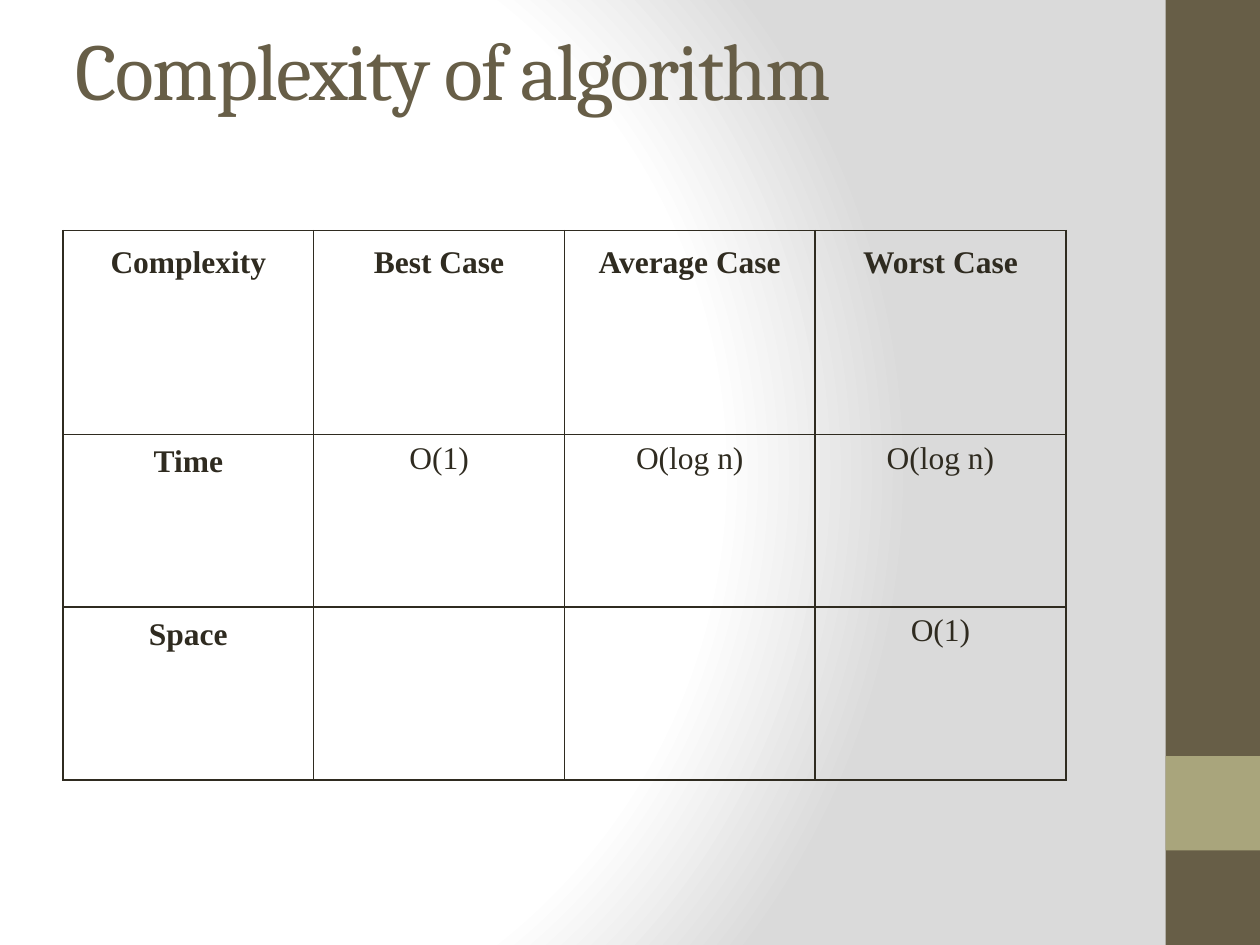
from dataclasses import dataclass

from lxml import etree
from pptx import Presentation
from pptx.dml.color import RGBColor as Rgb
from pptx.enum.shapes import MSO_SHAPE as Shape
from pptx.enum.text import MSO_ANCHOR as Anchor, MSO_AUTO_SIZE as AutoSize, PP_ALIGN as Align
from pptx.oxml import parse_xml
from pptx.oxml.ns import nsdecls, qn
from pptx.util import Pt


@dataclass(frozen=True)
class Theme:
    brown: str = "675E47"
    olive: str = "A9A57C"
    ink: str = "2F2B20"
    white: str = "FFFFFF"
    grey: str = "DADADA"
    title_font: str = "Cambria"
    table_font: str = "Times New Roman"
    title_size: int = 46
    table_size: int = 18


THEME = Theme()
ROWS = [
    ["Complexity", "Best Case", "Average Case", "Worst Case"],
    ["Time", "O(1)", "O(log n)", "O(log n)"],
    ["Space", "", "", "O(1)"],
]
ROW_HEIGHTS = [116.64, 98.64, 98.64]
COLUMN_WIDTH = 143.28


def style_font(font, name, size, color, bold=False):
    font.name = name
    font.size = Pt(size)
    font.bold = bold
    font.color.rgb = Rgb.from_string(color)


def set_background(page):
    """Radial gradient centred towards the left of the page."""
    page.background.fill.solid()
    solid = page.element.find(".//" + qn("p:bgPr")).find(qn("a:solidFill"))
    stops = [(0, THEME.white), (75, THEME.white), (100, THEME.grey)]
    stop_xml = "".join(
        f'<a:gs pos="{pos * 1000}"><a:srgbClr val="{color}"/></a:gs>' for pos, color in stops
    )
    gradient = parse_xml(
        f'<a:gradFill {nsdecls("a")} rotWithShape="1"><a:gsLst>{stop_xml}</a:gsLst>'
        '<a:path path="circle"><a:fillToRect l="20000" t="50000" r="100000" b="50000"/>'
        "</a:path></a:gradFill>"
    )
    solid.getparent().replace(solid, gradient)


def add_block(page, top, height, color):
    block = page.shapes.add_shape(Shape.RECTANGLE, Pt(666), Pt(top), Pt(54), Pt(height))
    block.shadow.inherit = False
    block.fill.solid()
    block.fill.fore_color.rgb = Rgb.from_string(color)
    block.line.fill.background()


def set_title(page, text):
    title = page.shapes.title
    title.left, title.top, title.width, title.height = Pt(36), Pt(21.6), Pt(599.76), Pt(90)
    frame = title.text_frame
    frame.word_wrap = True
    frame.auto_size = AutoSize.NONE
    frame.vertical_anchor = Anchor.MIDDLE
    para = frame.paragraphs[0]
    para.alignment = Align.LEFT
    span = para.add_run()
    span.text = text
    style_font(span.font, THEME.title_font, THEME.title_size, THEME.brown)
    span.font._element.set("spc", "-100")
    # The title ends with a line break of its own size
    para.add_line_break()
    line_break = para._p.find(qn("a:br"))
    etree.SubElement(line_break, qn("a:rPr"), sz=str(THEME.title_size * 100))
    style_end = etree.SubElement(para._p, qn("a:endParaRPr"))
    style_end.set("sz", str(THEME.title_size * 100))


def set_borders(cell):
    properties = cell._tc.get_or_add_tcPr()
    for index, side in enumerate(("lnL", "lnR", "lnT", "lnB")):
        properties.insert(index, parse_xml(
            f'<a:{side} {nsdecls("a")} w="{Pt(1)}"><a:solidFill>'
            f'<a:srgbClr val="{THEME.ink}"/></a:solidFill></a:{side}>'
        ))


def set_margins(cell, margin):
    cell.margin_left = cell.margin_right = Pt(margin)
    cell.margin_top = cell.margin_bottom = Pt(margin)


def fill_cell(cell, text, row, column):
    cell.fill.background()
    set_borders(cell)
    if row == 0:
        set_margins(cell, 8.64)
    elif column == 0:
        set_margins(cell, 5.76)
    cell.text = text
    para = cell.text_frame.paragraphs[0]
    para.alignment = Align.CENTER
    is_heading = row == 0 or column == 0
    style_font(para.font, THEME.table_font, THEME.table_size, THEME.ink, is_heading)


def add_complexity_table(page):
    columns = len(ROWS[0])
    table = page.shapes.add_table(
        len(ROWS), columns, Pt(36), Pt(131.76), Pt(COLUMN_WIDTH * columns), Pt(sum(ROW_HEIGHTS))
    ).table
    table.first_row = table.horz_banding = False
    for column in table.columns:
        column.width = Pt(COLUMN_WIDTH)
    for row, (height, texts) in enumerate(zip(ROW_HEIGHTS, ROWS)):
        table.rows[row].height = Pt(height)
        for column, text in enumerate(texts):
            fill_cell(table.cell(row, column), text, row, column)


def main():
    deck = Presentation()
    deck.slide_width, deck.slide_height = Pt(720), Pt(540)
    page = deck.slides.add_slide(deck.slide_layouts[5])

    # Background and side bar
    set_background(page)
    add_block(page, 0, 540, THEME.brown)
    add_block(page, 432, 54, THEME.olive)

    # Content
    set_title(page, "Complexity of algorithm")
    add_complexity_table(page)
    deck.save("out.pptx")


if __name__ == "__main__":
    main()
